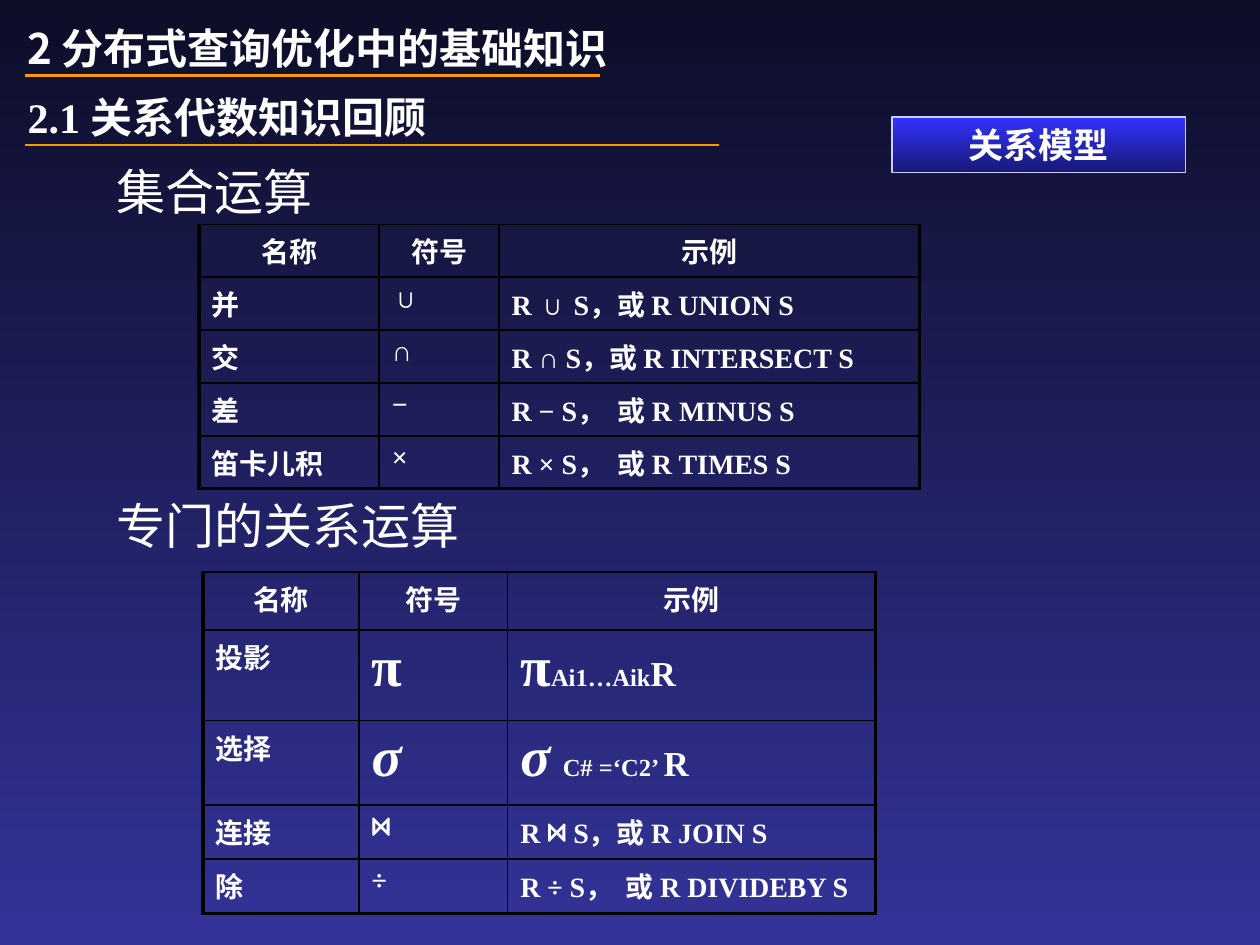
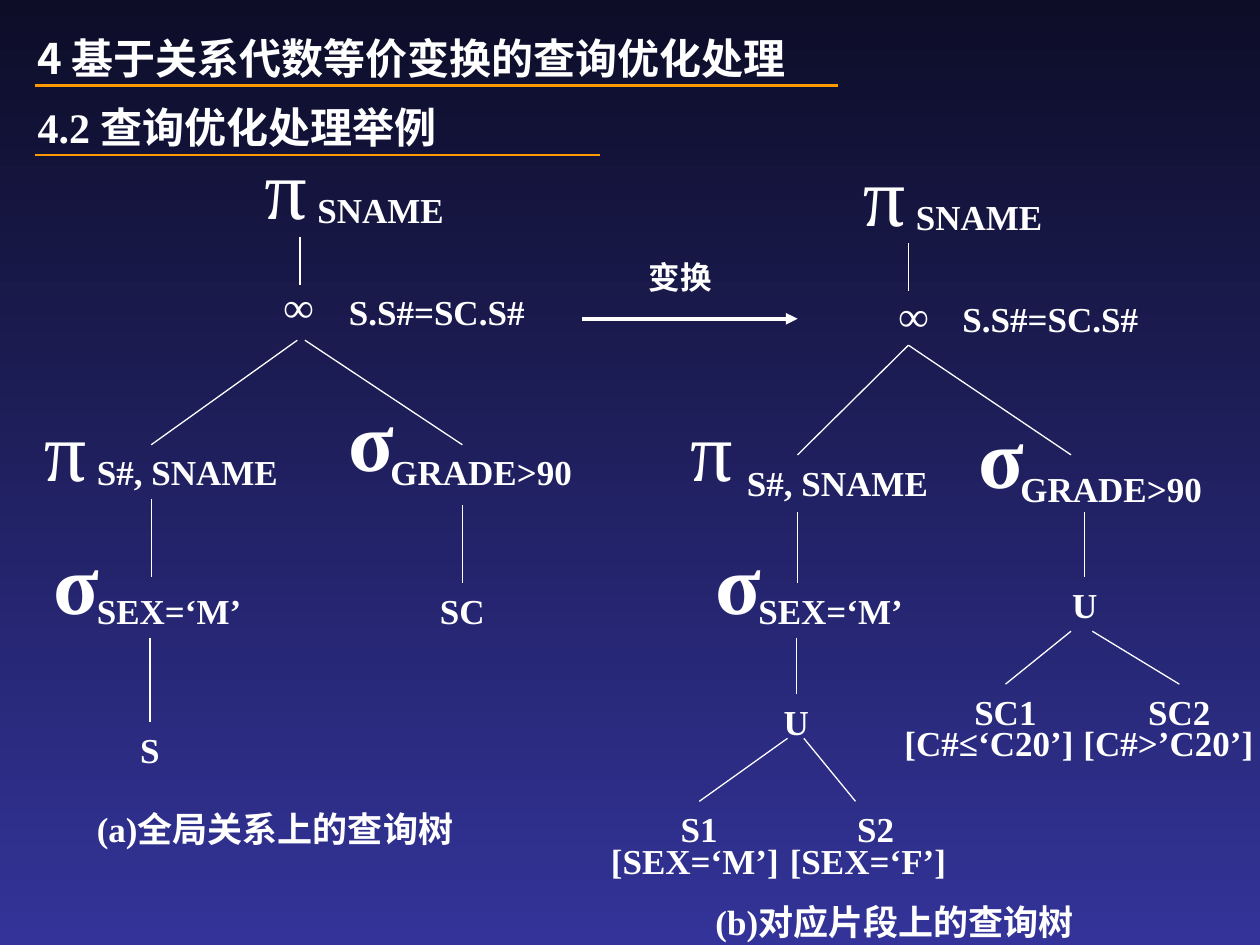
from pptx import Presentation
from pptx.dml.color import RGBColor
from pptx.enum import shapes, text
from pptx.oxml import parse_xml
from pptx.oxml.ns import nsdecls, qn
from pptx.util import Inches, Pt

NIGHT = RGBColor(0x0D, 0x0D, 0x28)
INDIGO = RGBColor(0x33, 0x33, 0x99)
BLUE = RGBColor(0x33, 0x33, 0xFF)
NAVY = RGBColor(0x18, 0x18, 0x76)
LAVENDER = RGBColor(0xCC, 0xCC, 0xFF)
ORANGE = RGBColor(0xFF, 0x99, 0x00)
WHITE = RGBColor(0xFF, 0xFF, 0xFF)
BLACK = RGBColor(0, 0, 0)
SERIF = "Times New Roman"
SANS = "Noto Sans CJK SC"
MONO = "Courier New"
CENTER = text.PP_ALIGN.CENTER


class Lecture:
    """Holds the lecture style and draws elements on the current page."""

    def __init__(self):
        self.deck = Presentation()
        self.deck.slide_width = Inches(10)
        self.deck.slide_height = Inches(7.5)
        self.page = None

    def new_page(self):
        self.page = self.deck.slides.add_slide(self.deck.slide_layouts[6])
        self.gradient(self.page.background.fill, NIGHT, INDIGO)

    def gradient(self, fill, top_color, bottom_color):
        fill.gradient()
        fill.gradient_angle = 270
        for stop, color in zip(fill.gradient_stops, (top_color, bottom_color)):
            stop.color.rgb = color

    def style_span(self, span, size, bold=True, font=SERIF, italic=False):
        span.font.size = Pt(size)
        span.font.bold = bold
        span.font.italic = italic
        span.font.name = font
        span.font.color.rgb = WHITE
        east = parse_xml(f'<a:ea {nsdecls("a")} typeface="{SANS}"/>')
        span.font._element.find(qn("a:latin")).addnext(east)

    def add_spans(self, frame, spans, align=None):
        para = frame.paragraphs[0]
        para.alignment = align
        for words, *style in spans:
            span = para.add_run()
            span.text = words
            self.style_span(span, *style)

    def label(self, left, top, width, height, *spans, align=None):
        box = self.page.shapes.add_textbox(
            Inches(left), Inches(top), Inches(width), Inches(height))
        box.text_frame.word_wrap = True
        self.add_spans(box.text_frame, spans, align)
        return box

    def leaf(self, words, center, top, size=20, width=1):
        return self.label(center - width / 2, top, width, 0.43,
                          (words, size), align=CENTER)

    def operator(self, symbol, left, top, condition, right, down):
        self.label(left, top, 0.8, 0.9, (symbol, 48, symbol == "σ"))
        self.label(left + right, top + down, 1.83, 0.43, (condition, 20))

    def line(self, start, end, color=WHITE, width=0.75, target=None, arrow=False):
        points = [Inches(value) for value in (*start, *end)]
        link = self.page.shapes.add_connector(
            shapes.MSO_CONNECTOR.STRAIGHT, *points)
        link.line.color.rgb = color
        link.line.width = Pt(width)
        properties = link._element.spPr
        if arrow:
            properties.find(qn("a:ln")).append(
                parse_xml(f'<a:tailEnd {nsdecls("a")} type="triangle"/>'))
        properties.append(parse_xml(f'<a:effectLst {nsdecls("a")}/>'))
        if target is not None:
            link.end_connect(target, 0)

    def headings(self, left, top, chapter, chapter_end, number, section, section_end):
        for offset, rule, spans, end in (
            (0, 0.47, [(chapter, 24, True, SANS)], chapter_end),
            (0.55, 1.02, [(number, 24), (section, 24, True, SANS)], section_end),
        ):
            self.label(left, top + offset, 6.69, 0.5, *spans)
            self.line((left + 0.08, top + rule), (end, top + rule), ORANGE, 1.5)

    def badge(self, words, left, top, width, height):
        box = self.page.shapes.add_shape(
            shapes.MSO_SHAPE.RECTANGLE,
            Inches(left), Inches(top), Inches(width), Inches(height))
        box.shadow.inherit = False
        self.gradient(box.fill, BLUE, NAVY)
        box.line.color.rgb = LAVENDER
        box.line.width = Pt(0.75)
        box.text_frame.vertical_anchor = text.MSO_ANCHOR.MIDDLE
        self.add_spans(box.text_frame, [(words, 20)], CENTER)

    def border(self, cell, thick_sides):
        properties = cell._tc.get_or_add_tcPr()
        for side in "LRTB":
            width = Pt(2.25 if side in thick_sides else 1)
            properties.append(parse_xml(
                f'<a:ln{side} {nsdecls("a")} w="{width}"><a:solidFill>'
                f'<a:srgbClr val="{BLACK}"/></a:solidFill></a:ln{side}>'))

    def table(self, left, top, widths, heights, rows):
        grid = self.page.shapes.add_table(
            len(rows), len(widths), Inches(left), Inches(top),
            Inches(sum(widths)), Inches(sum(heights))).table
        grid.first_row = grid.horz_banding = False
        for column, width in zip(grid.columns, widths):
            column.width = Inches(width)
        for y, (height, row) in enumerate(zip(heights, rows)):
            grid.rows[y].height = Inches(height)
            for x, content in enumerate(row):
                cell = grid.cell(y, x)
                thick = {0: "L", len(widths) - 1: "R"}.get(x, "")
                self.border(cell, thick + ("B" if y == len(rows) - 1 else ""))
                cell.fill.background()
                spans = [(content, 16)] if isinstance(content, str) else content
                self.add_spans(cell.text_frame, spans, CENTER if y == 0 else None)


def algebra_page(lecture):
    """Builds the review of relational algebra."""
    lecture.new_page()
    for words, top in (("集合运算", 1.23), ("专门的关系运算", 3.88)):
        lecture.label(0.83, top, 8.58, 0.66, (words, 28, False, SANS))
    header = ("名称", "符号", "示例")
    lecture.table(1.58, 1.78, (1.43, 0.95, 3.34), [0.42] * 5, (
        header,
        ("并", "∪", "R ∪ S，或 R UNION S"),
        ("交", "∩", "R ∩ S，或 R INTERSECT S"),
        ("差", "−", "R − S，  或 R MINUS S"),
        ("笛卡儿积", "×", "R × S，  或 R TIMES S"),
    ))
    join = ("⋈", 18, True, MONO)
    sigma = ("σ", 32, True, SERIF, True)
    lecture.table(1.61, 4.54, (1.24, 1.18, 2.92), (0.46, 0.72, 0.67, 0.43, 0.43), (
        header,
        ("投影", [("π", 32)], [("π", 32), ("Ai1…Aik", 14), ("R", 20)]),
        ("选择", [sigma],
         [sigma, (" ", 28, False), ("C# =‘C2’ ", 14), ("R", 20)]),
        ("连接", [join], [("R ", 16), join, (" S，或 R JOIN S", 16)]),
        ("除", "÷", "R ÷ S，  或 R DIVIDEBY S"),
    ))
    lecture.headings(0.12, 0.13, "2 分布式查询优化中的基础知识", 4.76,
                     "2.1 ", "关系代数知识回顾", 5.71)
    lecture.badge("关系模型", 7.08, 0.93, 2.33, 0.44)


def tree_page(lecture):
    """Builds the two query trees."""
    lecture.new_page()
    lecture.headings(0.2, 0.21, "4 基于关系代数等价变换的查询优化处理", 6.65,
                     "4.2 ", "查询优化处理举例", 4.76)
    for operator in (
        ("π", 2, 1.03, "SNAME", 0.42, 0.42),
        ("π", 6.75, 1.08, "SNAME", 0.42, 0.42),
        ("π", 0.25, 3.11, "S#, SNAME", 0.42, 0.42),
        ("π", 5.38, 3.11, "S#, SNAME", 0.45, 0.5),
        ("σ", 2.67, 3.03, "GRADE>90", 0.33, 0.5),
        ("σ", 7.67, 3.16, "GRADE>90", 0.33, 0.5),
        ("σ", 0.33, 4.16, "SEX=‘M’", 0.34, 0.47),
        ("σ", 5.58, 4.16, "SEX=‘M’", 0.34, 0.47),
    ):
        lecture.operator(*operator)
    for center, top, condition_left, condition_top in (
        (2.37, 2.18, 2.67, 2.26), (7.25, 2.25, 7.54, 2.31),
    ):
        lecture.leaf("∞", center, top, 24, 0.71)
        lecture.label(condition_left, condition_top, 1.79, 0.43, ("S.S#=SC.S#", 20))

    for words, center, top, start in (
        ("S", 1.19, 5.73, (1.19, 5.06)),
        ("SC", 3.67, 4.63, (3.67, 4.01)),
        ("U", 6.32, 5.51, (6.32, 5.06)),
        ("U", 8.61, 4.58, (8.61, 4.06)),
        ("S1", 5.55, 6.36, (6.25, 5.86)),
        ("SC1", 7.98, 5.43, (8.5, 5.01)),
        ("SC2", 9.36, 5.43, (8.67, 5.01)),
    ):
        box = lecture.leaf(words, center, top)
        lecture.line(start, (center, top), target=box)
    lecture.leaf("S2", 6.95, 6.36)
    for words, left, top in (
        ("[SEX=‘M’]", 4.75, 6.61), ("[SEX=‘F’]", 6.17, 6.61),
        ("[C#≤‘C20’]", 7.08, 5.68), ("[C#>’C20’]", 8.5, 5.68),
    ):
        lecture.label(left, top, 1.58, 0.43, (words, 20))
    for start, end in (
        ((2.38, 1.88), (2.38, 2.26)),
        ((2.36, 2.7), (1.2, 3.53)),
        ((2.42, 2.7), (3.67, 3.53)),
        ((1.2, 3.96), (1.2, 4.58)),
        ((7.21, 1.93), (7.21, 2.31)),
        ((7.21, 2.74), (6.33, 3.61)),
        ((7.21, 2.74), (8.5, 3.61)),
        ((6.33, 4.06), (6.33, 4.63)),
        ((6.38, 5.86), (6.79, 6.36)),
    ):
        lecture.line(start, end)
    for words, left, top in (
        ("(a)全局关系上的查询树", 0.67, 6.36), ("(b)对应片段上的查询树", 5.58, 7.1),
    ):
        lecture.label(left, top, 3.67, 0.43, (words, 20))
    lecture.line((4.62, 2.53), (6.33, 2.53), width=2.25, arrow=True)
    lecture.leaf("变换", 5.4, 2, 18)


def main():
    lecture = Lecture()
    algebra_page(lecture)
    tree_page(lecture)
    lecture.deck.save("out.pptx")


if __name__ == "__main__":
    main()
